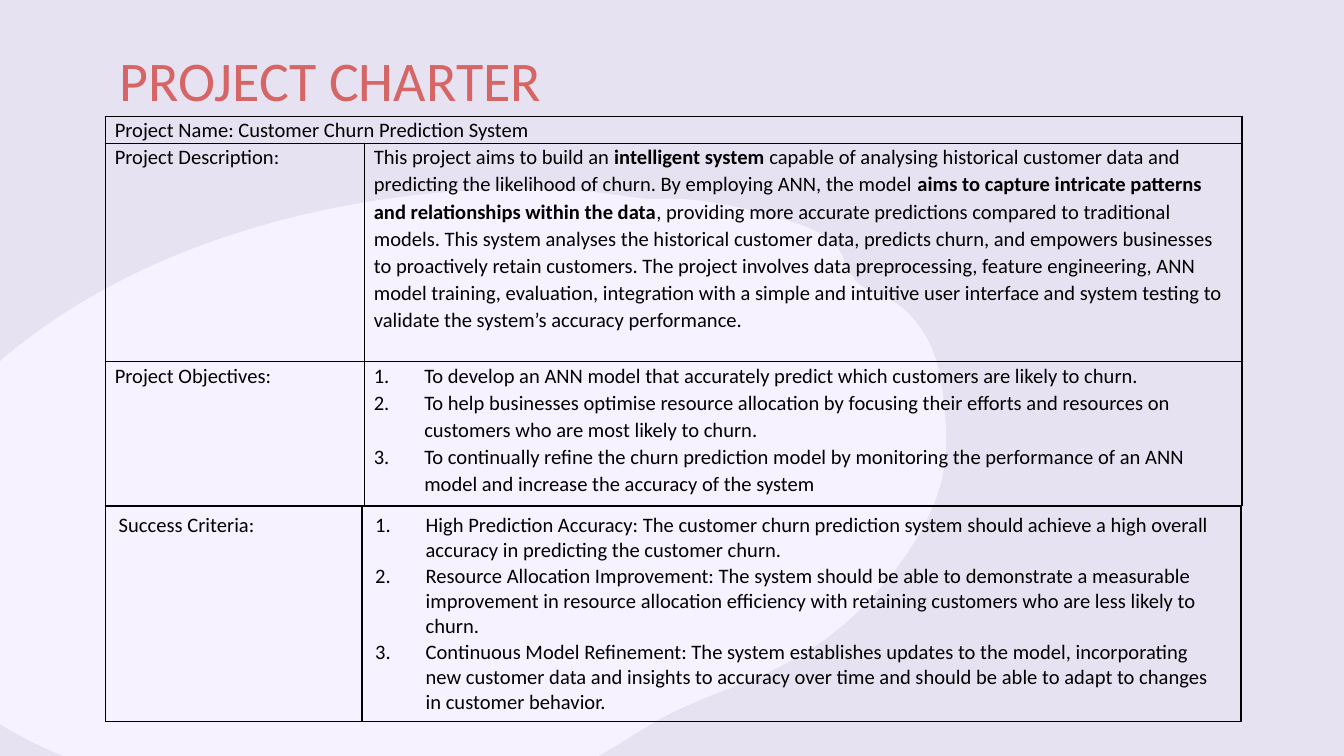
from dataclasses import dataclass

from lxml import etree
from pptx import Presentation
from pptx.dml.color import RGBColor
from pptx.oxml import ns
from pptx.util import Pt

COLORS = {"back": "E7E2F2", "blob": "F6F2FF", "title": "D66565", "ink": "000000"}
FONT = "Calibri"
HANG = 27

# Background blob in units of 0.72 pt: each curve has two handles and an end
UNIT = 0.72
BLOB = [
    (536, 515, 513, 523, 491, 535), (464, 550, 441, 569, 411, 577),
    (390, 582, 368, 582, 346, 585), (323, 588, 300, 592, 276, 594),
    (275, 594, 273, 594, 272, 594), (265, 594, 257, 595, 250, 595),
    (249, 595, 247, 595, 246, 595), (245, 595, 243, 595, 242, 595),
    (240, 595, 239, 595, 237, 595), (147, 595, 52, 579, -22, 524),
    (-33, 516, -43, 507, -49, 495), (-54, 484, -55, 473, -58, 461),
    (-61, 449, -66, 437, -76, 428), (-90, 417, -96, 411, -89, 392),
    (-66, 333, -23, 283, 29, 246), (101, 194, 189, 164, 275, 150),
    (324, 142, 373, 139, 422, 142), (434, 142, 446, 143, 457, 145),
    (468, 146, 480, 149, 491, 148), (518, 147, 548, 153, 575, 161),
    (592, 166, 619, 172, 627, 191), (629, 197, 632, 203, 636, 208),
    (642, 216, 652, 217, 661, 222), (670, 227, 678, 234, 684, 243),
    (693, 255, 698, 269, 700, 284), (704, 307, 706, 333, 701, 356),
    (695, 380, 683, 401, 669, 420), (644, 454, 612, 482, 574, 499),
    (569, 502, 564, 504, 559, 506),
]


@dataclass
class Cell:
    """Each paragraph is a list of runs; every second run is bold."""
    paras: list[list[str]]
    listed: bool = False


@dataclass
class Grid:
    left: float
    top: float
    cols: list[float]
    heights: list[float]
    rows: list[list[Cell]]
    inset: tuple[float, float]
    line: float = 1.0
    after: float = 0


CHARTER = Grid(
    56.5, 62.4, [138.8, 470], [14.4, 117, 77],
    [
        [Cell([["Project Name: Customer Churn Prediction System"]])],
        [
            Cell([["Project Description:"]]),
            Cell([[
                "This project aims to build an ",
                "intelligent system ",
                "capable of analysing historical customer data and predicting the "
                "likelihood of churn. By employing ANN, the model ",
                "aims to capture intricate patterns and relationships within the data",
                ", providing more accurate predictions compared to traditional models. "
                "This system analyses the historical customer data, predicts churn, and "
                "empowers businesses to proactively retain customers. The project "
                "involves data preprocessing, feature engineering, ANN model training, "
                "evaluation, integration with a simple and intuitive user interface and "
                "system testing to validate the system’s accuracy performance.",
            ]]),
        ],
        [
            Cell([["Project Objectives:"]]),
            Cell([
                ["To develop an ANN model that accurately predict which customers are "
                 "likely to churn."],
                ["To help businesses optimise resource allocation by focusing their "
                 "efforts and resources on customers who are most likely to churn."],
                ["To continually refine the churn prediction model by monitoring the "
                 "performance of an ANN model and increase the accuracy of the system"],
            ], listed=True),
        ],
    ],
    inset=(5, 0), line=1.07, after=8,
)

SUCCESS = Grid(
    56.4, 271.1, [137.4, 471], [115.5],
    [[
        Cell([["Success Criteria:"]]),
        Cell([
            ["High Prediction Accuracy: The customer churn prediction system should "
             "achieve a high overall accuracy in predicting the customer churn."],
            ["Resource Allocation Improvement: The system should be able to "
             "demonstrate a measurable improvement in resource allocation efficiency "
             "with retaining customers who are less likely to churn."],
            ["Continuous Model Refinement: The system establishes updates to the "
             "model, incorporating new customer data and insights to accuracy over "
             "time and should be able to adapt to changes in customer behavior."],
        ], listed=True),
    ]],
    inset=(7.2, 3.6),
)


def rgb(name: str) -> RGBColor:
    return RGBColor.from_string(COLORS[name])


def write(frame, paras: list[list[str]], *, size: float = 11, color: str = "ink",
          line: float = 1.0, after: float = 0, listed: bool = False) -> None:
    """Fill a text frame; the space after applies to the last paragraph."""
    frame.word_wrap = True
    for i, runs in enumerate(paras):
        para = frame.paragraphs[0] if i == 0 else frame.add_paragraph()
        para.line_spacing = line
        para.space_after = Pt(after if i == len(paras) - 1 else 0)
        if listed:
            number(para)
        for j, words in enumerate(runs):
            run = para.add_run()
            run.text = words
            run.font.name, run.font.size = FONT, Pt(size)
            run.font.bold = j % 2 == 1
            run.font.color.rgb = rgb(color)


def number(para) -> None:
    props = para._p.get_or_add_pPr()
    props.set("marL", str(Pt(HANG)))
    props.set("indent", str(-Pt(HANG)))
    tint = etree.SubElement(props, ns.qn("a:buClr"))
    etree.SubElement(tint, ns.qn("a:srgbClr"), val=COLORS["ink"])
    etree.SubElement(props, ns.qn("a:buFont"), typeface="+mj-lt")
    etree.SubElement(props, ns.qn("a:buAutoNum"), type="arabicPeriod")


def border(cell) -> None:
    props = cell._tc.get_or_add_tcPr()
    for i, side in enumerate(("lnL", "lnR", "lnT", "lnB")):
        edge = etree.Element(ns.qn(f"a:{side}"), w=str(Pt(1)))
        fill = etree.SubElement(edge, ns.qn("a:solidFill"))
        etree.SubElement(fill, ns.qn("a:srgbClr"), val=COLORS["ink"])
        props.insert(i, edge)


def draw_grid(slide, grid: Grid) -> None:
    table = slide.shapes.add_table(
        len(grid.heights), len(grid.cols), Pt(grid.left), Pt(grid.top),
        Pt(sum(grid.cols)), Pt(sum(grid.heights))).table
    table.first_row = table.horz_banding = False
    for col, width in zip(table.columns, grid.cols):
        col.width = Pt(width)
    for row, height in zip(table.rows, grid.heights):
        row.height = Pt(height)
    side, edge = grid.inset
    for cell in table.iter_cells():
        cell.fill.background()
        cell.margin_left = cell.margin_right = Pt(side)
        cell.margin_top = cell.margin_bottom = Pt(edge)
        border(cell)
    for r, row in enumerate(grid.rows):
        if len(row) < len(grid.cols):
            table.cell(r, 0).merge(table.cell(r, len(grid.cols) - 1))
        for c, item in enumerate(row):
            write(table.cell(r, c).text_frame, item.paras, line=grid.line,
                  after=grid.after, listed=item.listed)


def bend(shape) -> None:
    """Turn every three straight segments into one cubic curve."""
    lines = list(shape._element.iter(ns.qn("a:lnTo")))
    for i in range(0, len(lines), 3):
        curve = etree.Element(ns.qn("a:cubicBezTo"))
        lines[i].addprevious(curve)
        for line in lines[i:i + 3]:
            curve.append(line[0])
            line.getparent().remove(line)


def draw_blob(slide) -> None:
    dots = [curve[k:k + 2] for curve in BLOB for k in (0, 2, 4)]
    pen = slide.shapes.build_freeform(*dots[-1], scale=Pt(UNIT))
    pen.add_line_segments(dots, close=True)
    blob = pen.convert_to_shape()
    bend(blob)
    blob.shadow.inherit = False
    blob.fill.solid()
    blob.fill.fore_color.rgb = rgb("blob")
    blob.line.fill.background()


def draw_title(slide) -> None:
    frame = slide.shapes.add_textbox(Pt(57), Pt(17.3), Pt(607), Pt(45.4)).text_frame
    frame.margin_left = frame.margin_right = Pt(7.2)
    frame.margin_top = frame.margin_bottom = Pt(7.2)
    write(frame, [["PROJECT CHARTER"]], size=30, color="title")


def main() -> None:
    deck = Presentation()
    deck.slide_width, deck.slide_height = Pt(720), Pt(405)
    slide = deck.slides.add_slide(deck.slide_layouts[6])
    slide.background.fill.solid()
    slide.background.fill.fore_color.rgb = rgb("back")
    draw_blob(slide)
    draw_title(slide)
    for grid in (CHARTER, SUCCESS):
        draw_grid(slide, grid)
    deck.save("out.pptx")


if __name__ == "__main__":
    main()
